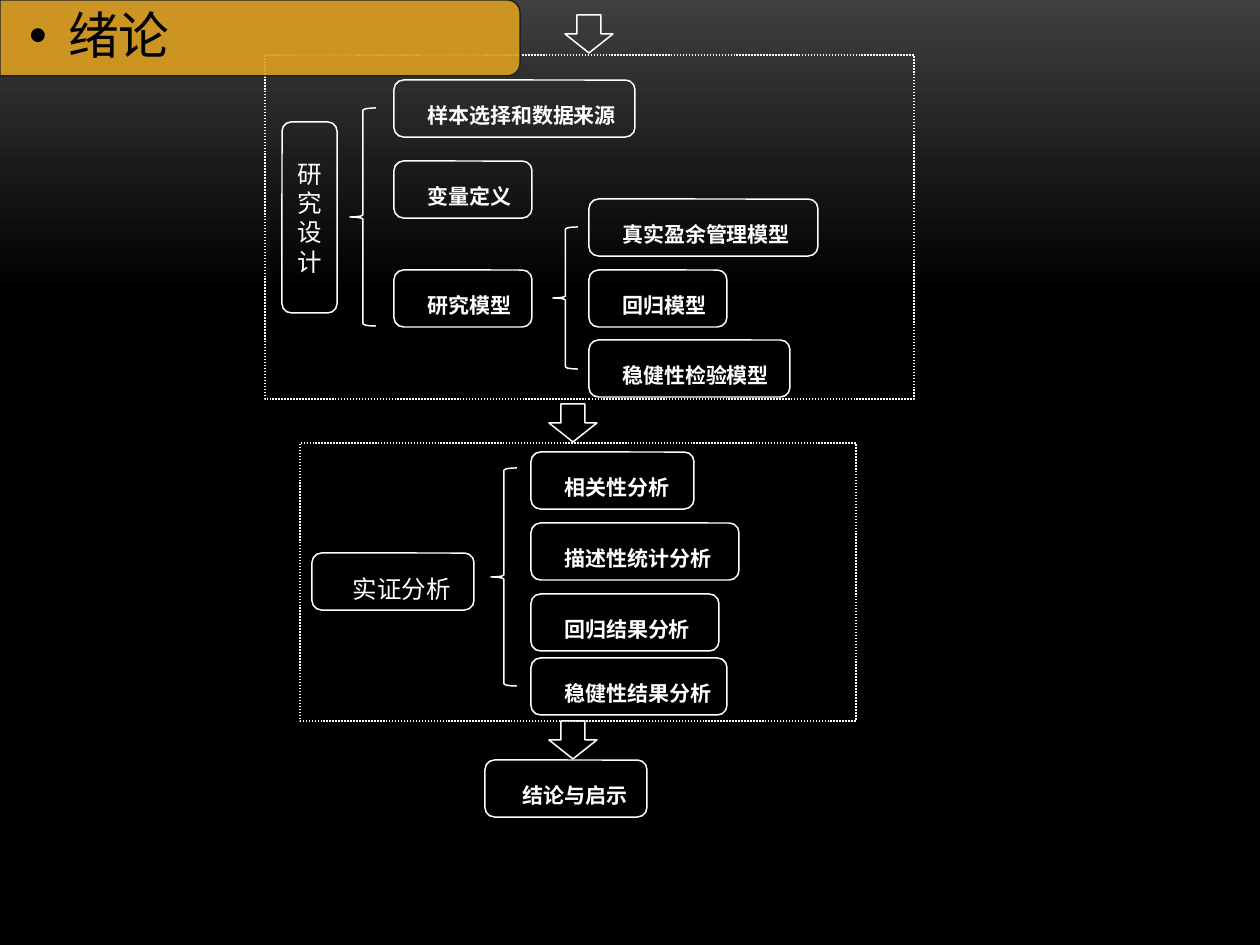
from lxml import etree
from pptx import Presentation
from pptx.dml.color import RGBColor
from pptx.enum.dml import MSO_LINE
from pptx.enum.shapes import MSO_SHAPE
from pptx.enum.text import MSO_ANCHOR, MSO_AUTO_SIZE, PP_ALIGN
from pptx.oxml.ns import qn
from pptx.util import Pt

DOT = MSO_LINE.ROUND_DOT
RECT = MSO_SHAPE.RECTANGLE
ROUND = MSO_SHAPE.ROUNDED_RECTANGLE
ARROW = MSO_SHAPE.DOWN_ARROW
BRACE = MSO_SHAPE.LEFT_BRACE
TAB = MSO_SHAPE.ROUND_2_SAME_RECTANGLE
MIDDLE = MSO_ANCHOR.MIDDLE
FIXED = MSO_AUTO_SIZE.NONE
LEFT, CENTER, JUST = PP_ALIGN.LEFT, PP_ALIGN.CENTER, PP_ALIGN.JUSTIFY

SANS, SERIF = "Arial Narrow", "Times New Roman"
WHITE, BLACK, GOLD, EDGE = "FFFFFF", "000000", "DC9E1F", "1F2123"
PAPER = [("3F3F3F", 0), (BLACK, 0.31)]


def px(n):
    return round(n * 914400 / 126)


def color(code):
    return RGBColor.from_string(code)


def write(frame, text, font=SERIF, size=12, bold=True, tint=WHITE,
          align=JUST, space=1.5, indent=18, margin=0):
    frame.word_wrap = True
    frame.auto_size = FIXED
    frame.vertical_anchor = MIDDLE
    frame.text = text
    para = frame.paragraphs[0]
    para.alignment = align
    para.line_spacing = space
    props = para._p.get_or_add_pPr()
    props.set("marL", str(px(margin)))
    props.set("indent", str(px(indent)))
    face = para.runs[0].font
    face.name, face.size, face.bold = font, Pt(size), bold
    face.color.rgb = color(tint)
    return props


class Board:
    def __init__(self, slide, line=WHITE, width=0.85):
        self.slide = slide
        self.line = line
        self.width = width

    def paper(self, stops):
        fill = self.slide.background.fill
        fill.gradient()
        fill.gradient_angle = 270
        for stop, (code, place) in zip(fill.gradient_stops, stops):
            stop.color.rgb = color(code)
            stop.position = place

    def shape(self, kind, x, y, w, h, line=None):
        item = self.slide.shapes.add_shape(kind, px(x), px(y), px(w), px(h))
        item.shadow.inherit = False
        item.fill.background()
        item.line.color.rgb = color(line or self.line)
        item.line.width = Pt(self.width)
        return item

    def frame(self, x, y, w, h):
        self.shape(RECT, x, y, w, h).line.dash_style = DOT

    def arrow(self, x, y):
        self.shape(ARROW, x, y, 48, 38)

    def brace(self, x, y, w, h):
        self.shape(BRACE, x, y, w, h)

    def box(self, text, x, y, w, h=57, **style):
        write(self.shape(ROUND, x, y, w, h).text_frame, text, **style)

    def stack(self, x, rows):
        for text, y, w in rows:
            self.box(text, x, y, w)

    def banner(self, w, h):
        shift = (w - h) // 2
        tab = self.shape(TAB, shift, -shift, h, w, EDGE)
        tab.rotation = 90
        tab.fill.solid()
        tab.fill.fore_color.rgb = color(GOLD)
        tone = tab.fill._xPr.find(qn("a:solidFill"))[0]
        etree.SubElement(tone, qn("a:alpha")).set("val", "90000")

    def title(self, text, x, y, w, h):
        item = self.slide.shapes.title
        item.left, item.top, item.width, item.height = map(px, (x, y, w, h))
        frame = item.text_frame
        frame.margin_left = px(29)
        frame.margin_top = frame.margin_right = frame.margin_bottom = px(3)
        props = write(frame, text, font=SANS, size=29, bold=False, tint=BLACK,
                      align=LEFT, space=0.9, indent=-39, margin=39)
        etree.SubElement(props, qn("a:buFont")).set("typeface", "Arial")
        etree.SubElement(props, qn("a:buChar")).set("char", "•")
        self.slide.shapes._spTree.append(item._element)


def main():
    deck = Presentation()
    deck.slide_width, deck.slide_height = px(1260), px(945)
    board = Board(deck.slides.add_slide(deck.slide_layouts[5]))
    board.paper(PAPER)
    plain = {"font": SANS, "size": 14, "bold": False, "align": CENTER}

    board.arrow(565, 15)
    board.frame(265, 55, 649, 344)
    board.brace(350, 108, 26, 218)
    board.box("研究设计", 282, 122, 55, 191, space=1, indent=0, **plain)
    board.stack(394, [
        ("样本选择和数据来源", 80, 241),
        ("变量定义", 161, 138),
        ("研究模型", 270, 138),
    ])
    board.brace(553, 227, 25, 142)
    board.stack(589, [
        ("真实盈余管理模型", 199, 229),
        ("回归模型", 270, 138),
        ("稳健性检验模型", 340, 201),
    ])

    board.arrow(549, 404)
    board.frame(300, 443, 556, 278)
    board.box("实证分析", 312, 553, 162, **plain)
    board.brace(491, 468, 26, 218)
    board.stack(531, [
        ("相关性分析", 452, 163),
        ("描述性统计分析", 523, 208),
        ("回归结果分析", 594, 188),
        ("稳健性结果分析", 658, 196),
    ])

    board.box("结论与启示", 485, 760, 162, align=CENTER)
    board.arrow(549, 721)
    board.banner(520, 76)
    board.title("绪论", 0, 4, 518, 68)
    deck.save("out.pptx")


if __name__ == "__main__":
    main()
